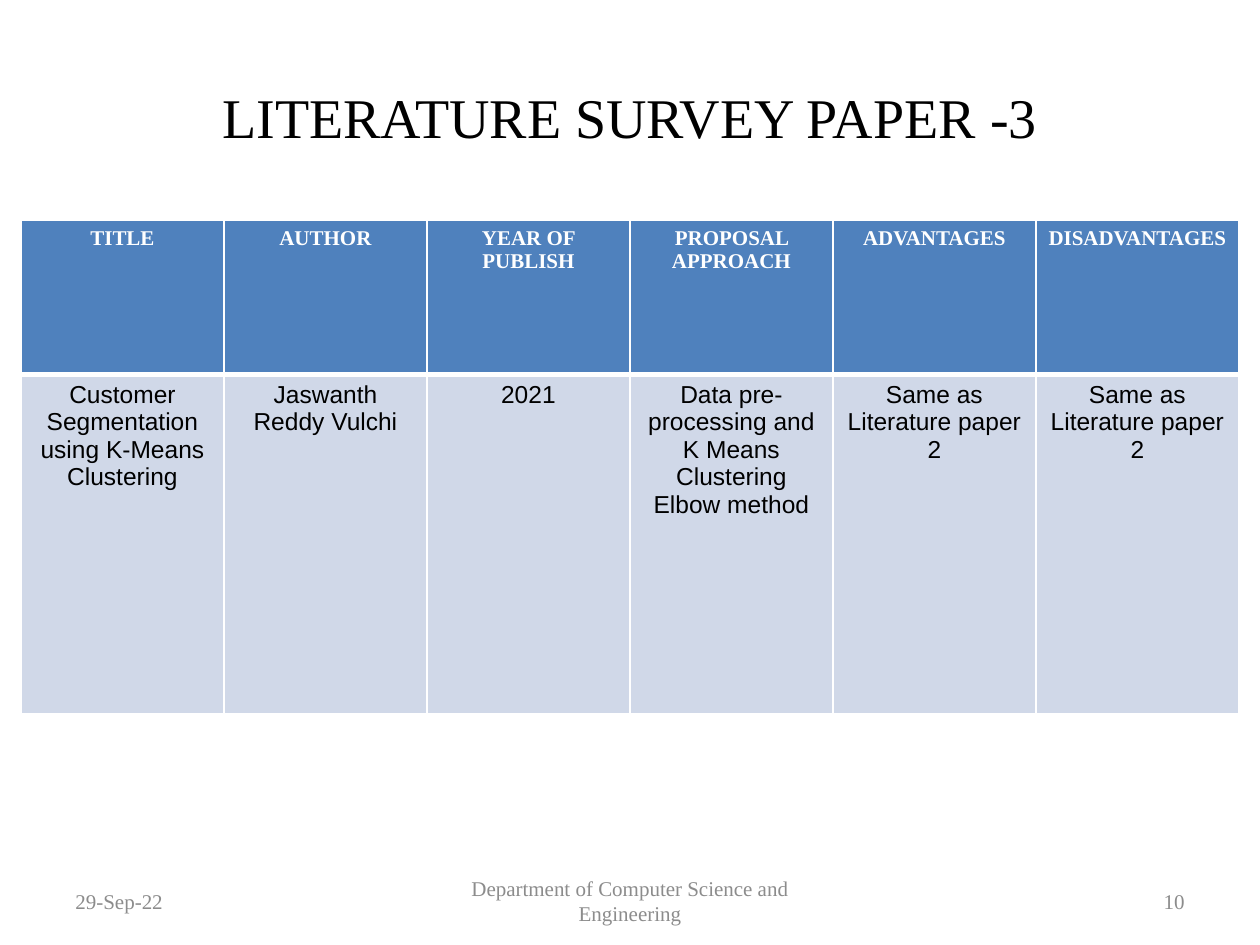
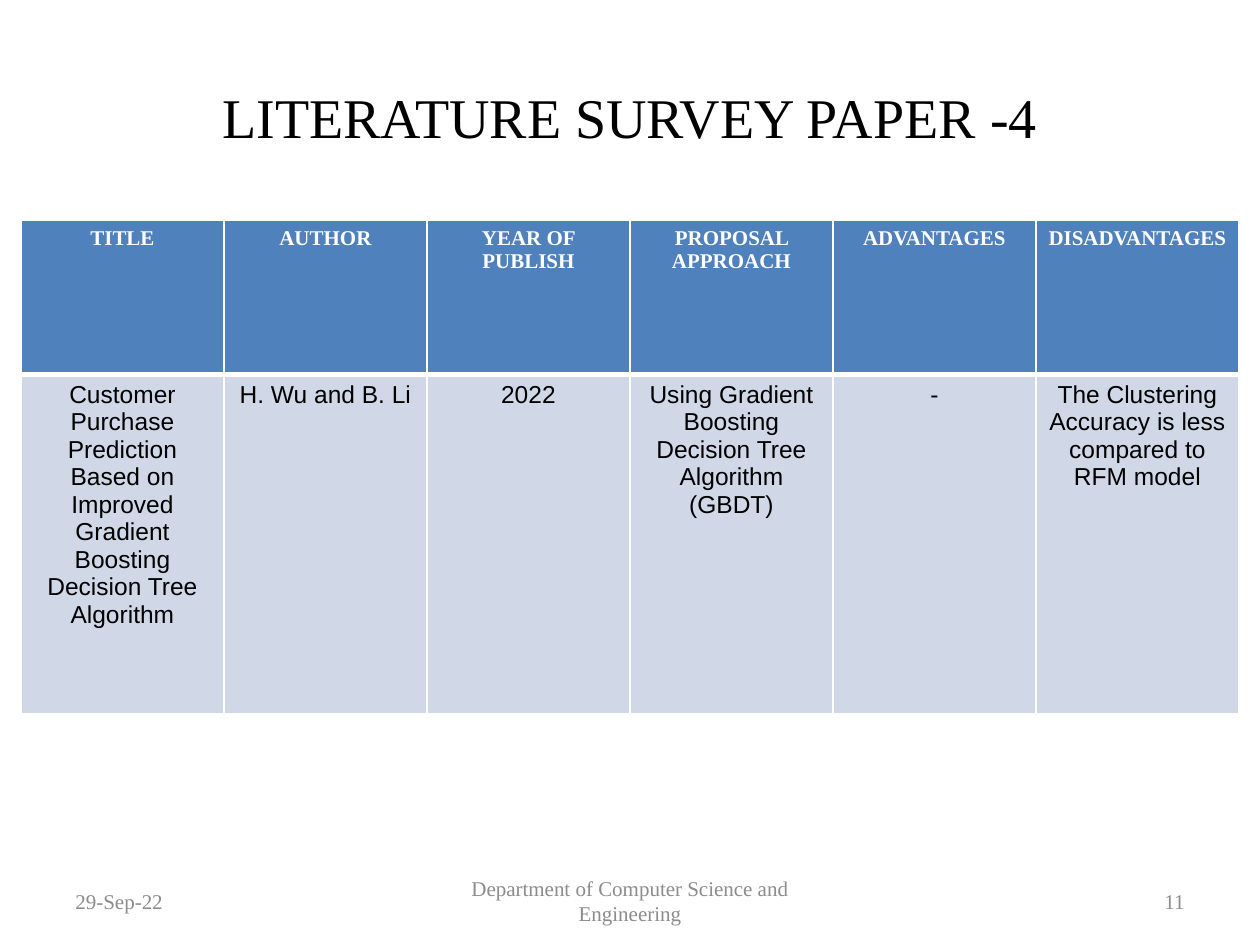
from lxml import etree
from pptx import Presentation
from pptx.dml.color import RGBColor
from pptx.enum import text
from pptx.oxml import ns
from pptx.util import Pt

COLORS = {"ink": "000000", "muted": "8C8C8C", "white": "FFFFFF",
          "header": "4F81BD", "body": "D0D8E8"}
SERIF, SANS = "Times New Roman", "Arial"
LEFT, CENTER, RIGHT = (text.PP_ALIGN.LEFT, text.PP_ALIGN.CENTER,
                       text.PP_ALIGN.RIGHT)

# Text styles: font attributes plus a colour name
TITLE = {"name": SERIF, "size": Pt(32), "bold": False, "color": "ink"}
FOOTER = {"name": SERIF, "size": Pt(12), "bold": False, "color": "muted"}
HEADING = {"name": SERIF, "size": Pt(12), "bold": True, "color": "white"}
ENTRY = {"name": SANS, "size": Pt(14), "bold": False, "color": "ink"}

# Regions as left, top, width, height in points
TITLE_BOX = (36, 21.6, 648, 90)
TABLE_BOX = (12, 126, 696, 282)
FOOTER_BOX = (36, 500.5, 648, 28.75)
HEADER_HEIGHT = 88

DATE = "29-Sep-22"
DEPARTMENT = "Department of Computer Science and Engineering"
HEADINGS = ["TITLE", "AUTHOR", "YEAR OF PUBLISH", "PROPOSAL APPROACH",
            "ADVANTAGES", "DISADVANTAGES"]
SAME = "Same as Literature paper 2"
# Slide number, title, table entries
PAPERS = [
    (10, "LITERATURE SURVEY PAPER -3",
     ["Customer Segmentation using K-Means Clustering",
      "Jaswanth Reddy Vulchi", "2021",
      "Data pre-processing and K Means Clustering\nElbow method", SAME, SAME]),
    (11, "LITERATURE SURVEY PAPER -4",
     ["Customer Purchase Prediction Based on Improved Gradient Boosting "
      "Decision Tree Algorithm", "H. Wu and B. Li", "2022",
      "Using Gradient Boosting Decision Tree Algorithm (GBDT)", "-",
      "The Clustering Accuracy is less compared to RFM model"]),
]


def write(frame, content, style, align):
    frame.text = content
    for para in frame.paragraphs:
        para.alignment = align
        for span in para.runs:
            for key, value in style.items():
                if key == "color":
                    span.font.color.rgb = RGBColor.from_string(COLORS[value])
                else:
                    setattr(span.font, key, value)


def add_text(page, box, content, style, align):
    frame = page.shapes.add_textbox(*map(Pt, box)).text_frame
    frame.word_wrap = True
    frame.vertical_anchor = text.MSO_ANCHOR.MIDDLE
    write(frame, content, style, align)


def add_footer(page, box, number):
    left, top, width, height = box
    side, middle = 168, 228
    parts = [(0, side, DATE, LEFT),
             ((width - middle) / 2, middle, DEPARTMENT, CENTER),
             (width - side, side, str(number), RIGHT)]
    for offset, part_width, content, align in parts:
        add_text(page, (left + offset, top, part_width, height),
                 content, FOOTER, align)


def set_borders(cell, widths):
    """Draw white borders; borders must precede the fill in the cell."""
    properties = cell._tc.get_or_add_tcPr()
    for index, (side, width) in enumerate(widths.items()):
        line = etree.Element(ns.qn(f"a:ln{side}"), w=str(Pt(width)))
        fill = etree.SubElement(line, ns.qn("a:solidFill"))
        etree.SubElement(fill, ns.qn("a:srgbClr"), val=COLORS["white"])
        properties.insert(index, line)


def add_survey_table(page, box, entries):
    left, top, width, height = box
    table = page.shapes.add_table(2, len(HEADINGS), *map(Pt, box)).table
    for column in table.columns:
        column.width = Pt(width / len(HEADINGS))
    table.rows[0].height = Pt(HEADER_HEIGHT)
    table.rows[1].height = Pt(height - HEADER_HEIGHT)

    # Header row, then the paper's row; a thick rule lies between them
    rows = [(HEADINGS, HEADING, "header", 6, {"L": 1, "R": 1, "T": 1, "B": 3}),
            (entries, ENTRY, "body", 7.2, {"L": 1, "R": 1, "T": 3, "B": 1})]
    for r, (contents, style, fill, margin, borders) in enumerate(rows):
        for c, content in enumerate(contents):
            cell = table.cell(r, c)
            cell.margin_left = cell.margin_right = Pt(margin)
            cell.fill.solid()
            cell.fill.fore_color.rgb = RGBColor.from_string(COLORS[fill])
            set_borders(cell, borders)
            write(cell.text_frame, content, style, CENTER)


def add_survey_slide(deck, number, title, entries):
    page = deck.slides.add_slide(deck.slide_layouts[6])
    add_text(page, TITLE_BOX, title, TITLE, CENTER)
    add_footer(page, FOOTER_BOX, number)
    add_survey_table(page, TABLE_BOX, entries)


def main():
    deck = Presentation()
    deck.slide_width, deck.slide_height = Pt(720), Pt(540)
    for paper in PAPERS:
        add_survey_slide(deck, *paper)
    deck.save("out.pptx")


if __name__ == "__main__":
    main()
